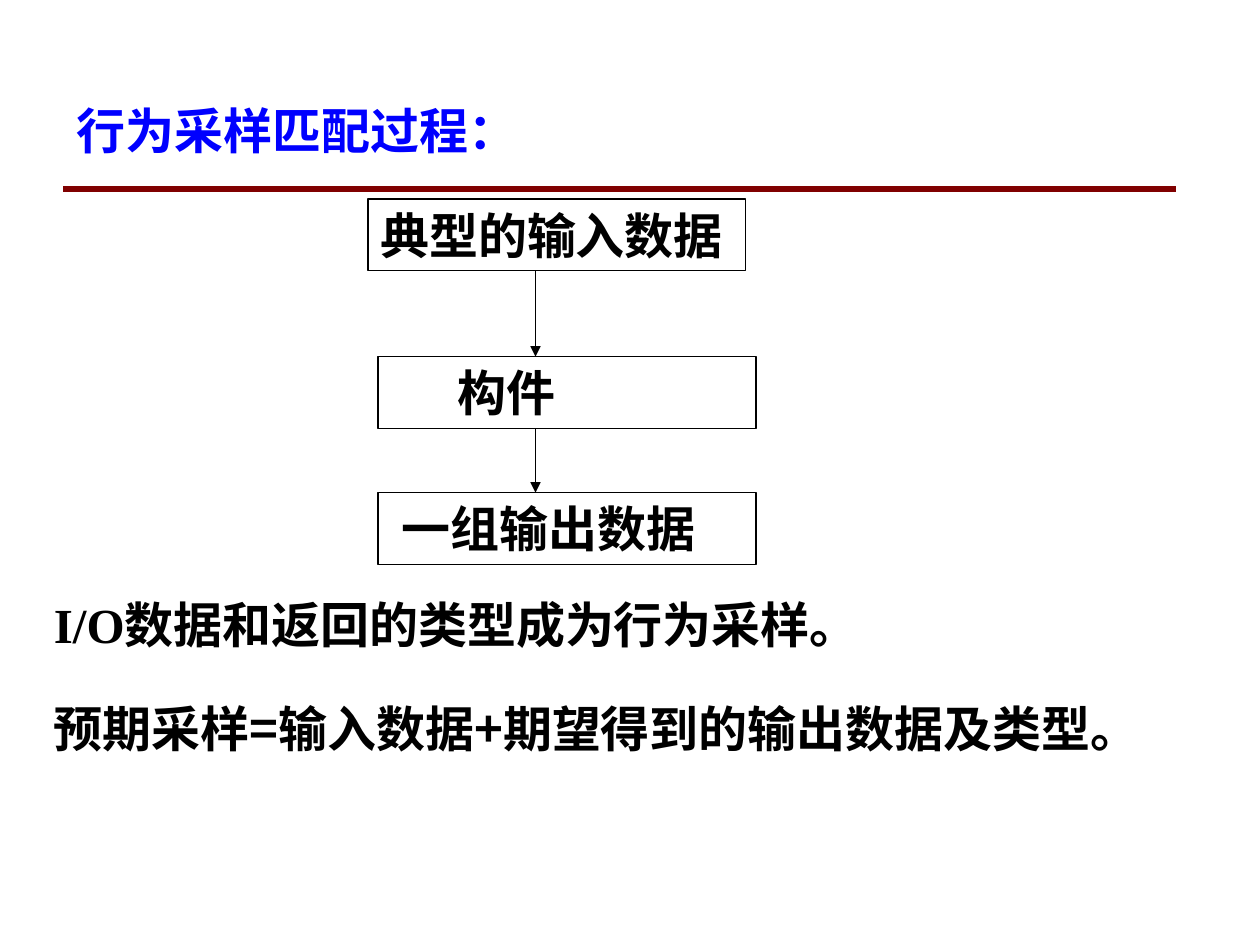
import dataclasses

import lxml.etree
import pptx
import pptx.dml.color
import pptx.enum.shapes
import pptx.enum.text
import pptx.oxml.ns
import pptx.util

Inches = pptx.util.Inches
Pt = pptx.util.Pt
RGB = pptx.dml.color.RGBColor
qn = pptx.oxml.ns.qn


@dataclasses.dataclass(frozen=True)
class Theme:
    ink: RGB = RGB(0, 0, 0)
    heading: RGB = RGB(0, 0, 255)
    rule: RGB = RGB(128, 0, 0)
    size: float = 28
    paragraph_gap: float = 17.5
    rule_width: float = 3
    outline: float = 0.75
    body_font: str = "Comic Neue"
    cjk_font: str = "Noto Sans CJK SC"
    serif_font: str = "Times New Roman"


THEME = Theme()


def style_run(run, font_name, color=THEME.ink):
    run.font.size = Pt(THEME.size)
    run.font.bold = True
    run.font.color.rgb = color
    run.font.name = font_name
    east_asian = lxml.etree.SubElement(run.font._element, qn("a:ea"))
    east_asian.set("typeface", THEME.cjk_font)


def add_line(slide, start, end, color, width, arrow=False):
    line = slide.shapes.add_connector(
        pptx.enum.shapes.MSO_CONNECTOR.STRAIGHT,
        *(Inches(value) for value in (*start, *end)))
    line.line.color.rgb = color
    line.line.width = Pt(width)
    if arrow:
        tail = lxml.etree.SubElement(line.line._get_or_add_ln(), qn("a:tailEnd"))
        tail.set("type", "triangle")
    lxml.etree.SubElement(line._element.spPr, qn("a:effectLst"))


def add_heading(slide, left, top, width, height):
    heading = slide.shapes.add_textbox(
        Inches(left), Inches(top), Inches(width), Inches(height))
    heading.text_frame.word_wrap = False
    heading.text_frame.text = "行为采样匹配过程："
    style_run(heading.text_frame.paragraphs[0].runs[0],
              THEME.cjk_font, THEME.heading)


def add_step(slide, left, top, width, height, label, indent):
    step = slide.shapes.add_shape(
        pptx.enum.shapes.MSO_SHAPE.RECTANGLE,
        Inches(left), Inches(top), Inches(width), Inches(height))
    step.shadow.inherit = False
    step.fill.background()
    step.line.color.rgb = THEME.ink
    step.line.width = Pt(THEME.outline)
    frame = step.text_frame
    frame.word_wrap = True
    frame.vertical_anchor = pptx.enum.text.MSO_ANCHOR.TOP
    frame.margin_left = Inches(0.1 + indent)
    frame.text = label
    frame.paragraphs[0].alignment = pptx.enum.text.PP_ALIGN.LEFT
    style_run(frame.paragraphs[0].runs[0], THEME.body_font)


def add_matching_flow(slide, left, top, width):
    step_height = 0.57
    arrow_x = left + 1.33
    steps = [
        ("典型的输入数据", 0, 0, 0),
        ("构件", 0.08, 1.25, 0.53),
        ("一组输出数据", 0.08, 2.33, 0.09),
    ]
    for label, shift, drop, indent in steps:
        add_step(slide, left + shift, top + drop, width, step_height,
                 label, indent)
    for upper, lower in zip(steps, steps[1:]):
        add_line(slide, (arrow_x, top + upper[2] + step_height),
                 (arrow_x, top + lower[2]), THEME.ink, THEME.outline, arrow=True)


def add_conclusions(slide, left, top, width, height):
    conclusions = slide.shapes.add_textbox(
        Inches(left), Inches(top), Inches(width), Inches(height))
    frame = conclusions.text_frame
    frame.word_wrap = True
    statements = [
        [("I/O", THEME.serif_font),
         ("数据和返回的类型成为行为采样。", THEME.body_font)],
        [("预期采样", THEME.body_font), ("=", THEME.cjk_font),
         ("输入数据", THEME.body_font), ("+", THEME.cjk_font),
         ("期望得到的输出数据及类型。", THEME.body_font)],
    ]
    for index, statement in enumerate(statements):
        paragraph = frame.add_paragraph() if index else frame.paragraphs[0]
        if index:
            paragraph.space_before = Pt(THEME.paragraph_gap)
            paragraph.line_spacing = 1.25
        for wording, font_name in statement:
            run = paragraph.add_run()
            run.text = wording
            style_run(run, font_name)


def main():
    deck = pptx.Presentation()
    deck.slide_width = Inches(10)
    deck.slide_height = Inches(7.5)
    slide = deck.slides.add_slide(deck.slide_layouts[6])
    add_line(slide, (0.5, 1.5), (9.33, 1.5), THEME.rule, THEME.rule_width)
    add_matching_flow(slide, 2.92, 1.58, 3)
    add_conclusions(slide, 0.33, 4.67, 8.92, 2.11)
    add_heading(slide, 0.51, 0.75, 3.69, 0.57)
    deck.save("out.pptx")


if __name__ == "__main__":
    main()
